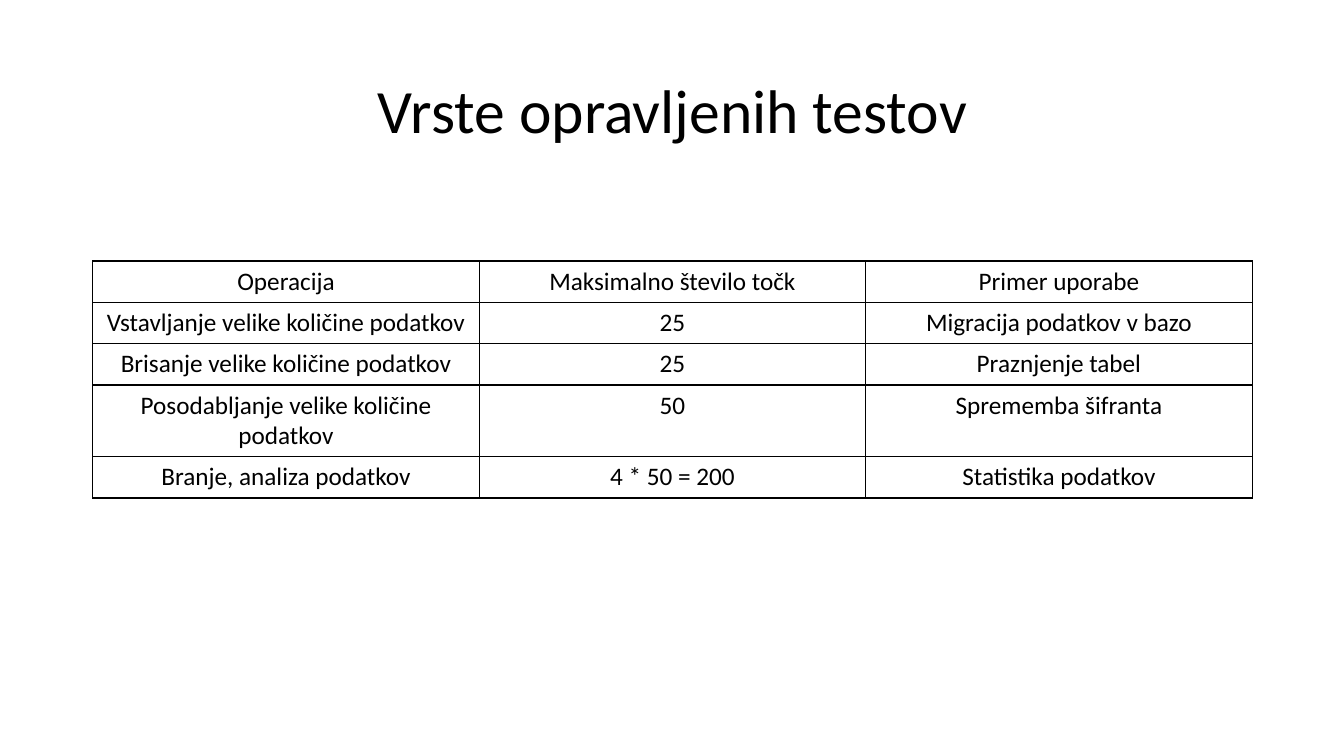
from lxml import etree
from pptx import Presentation
from pptx.dml.color import RGBColor
from pptx.enum.text import MSO_ANCHOR, PP_ALIGN
from pptx.oxml.ns import qn
from pptx.util import Inches, Pt

CENTER = PP_ALIGN.CENTER
MIDDLE = MSO_ANCHOR.MIDDLE
FONT = "Calibri"
BLACK = "000000"

TITLE = "Vrste opravljenih testov"
TEST_ROWS = [
    ("Operacija", "Maksimalno število točk", "Primer uporabe"),
    ("Vstavljanje velike količine podatkov", "25", "Migracija podatkov v bazo"),
    ("Brisanje velike količine podatkov", "25", "Praznjenje tabel"),
    ("Posodabljanje velike količine podatkov", "50", "Sprememba šifranta"),
    ("Branje, analiza podatkov", "4 * 50 = 200", "Statistika podatkov"),
]
LEFT, WIDTH = 0.92, 11.5
TABLE_TOP, ROW_HEIGHT = 2.59, 0.41


def color(hex_code):
    return RGBColor.from_string(hex_code)


def write_centered(text_frame, text, size):
    text_frame.text = text
    paragraph = text_frame.paragraphs[0]
    paragraph.alignment = CENTER
    font = paragraph.runs[0].font
    font.name = FONT
    font.size = Pt(size)
    font.color.rgb = color(BLACK)
    return paragraph


def add_borders(cell, width=1):
    """Draw the four sides; border elements must come before the fill."""
    properties = cell._tc.get_or_add_tcPr()
    for position, side in enumerate(("lnL", "lnR", "lnT", "lnB")):
        line = etree.Element(qn(f"a:{side}"), w=str(Pt(width)))
        fill = etree.SubElement(line, qn("a:solidFill"))
        etree.SubElement(fill, qn("a:srgbClr"), val=BLACK)
        properties.insert(position, line)


def add_title(slide):
    title = slide.shapes.title
    title.left, title.top = Inches(LEFT), Inches(0.4)
    title.width, title.height = Inches(WIDTH), Inches(1.45)
    title.text_frame.vertical_anchor = MIDDLE
    write_centered(title.text_frame, TITLE, 44).line_spacing = 0.9


def add_test_table(slide):
    row_count, column_count = len(TEST_ROWS), len(TEST_ROWS[0])
    table = slide.shapes.add_table(
        row_count, column_count, Inches(LEFT), Inches(TABLE_TOP),
        Inches(WIDTH), Inches(ROW_HEIGHT * row_count)).table
    table.first_row = False
    table.horz_banding = False
    for row_index, texts in enumerate(TEST_ROWS):
        for column_index, text in enumerate(texts):
            cell = table.cell(row_index, column_index)
            cell.fill.background()
            add_borders(cell)
            write_centered(cell.text_frame, text, 18)


def main():
    presentation = Presentation()
    presentation.slide_width = Inches(13.33)
    presentation.slide_height = Inches(7.5)
    slide = presentation.slides.add_slide(presentation.slide_layouts[5])
    add_title(slide)
    add_test_table(slide)
    presentation.save("out.pptx")


if __name__ == "__main__":
    main()
